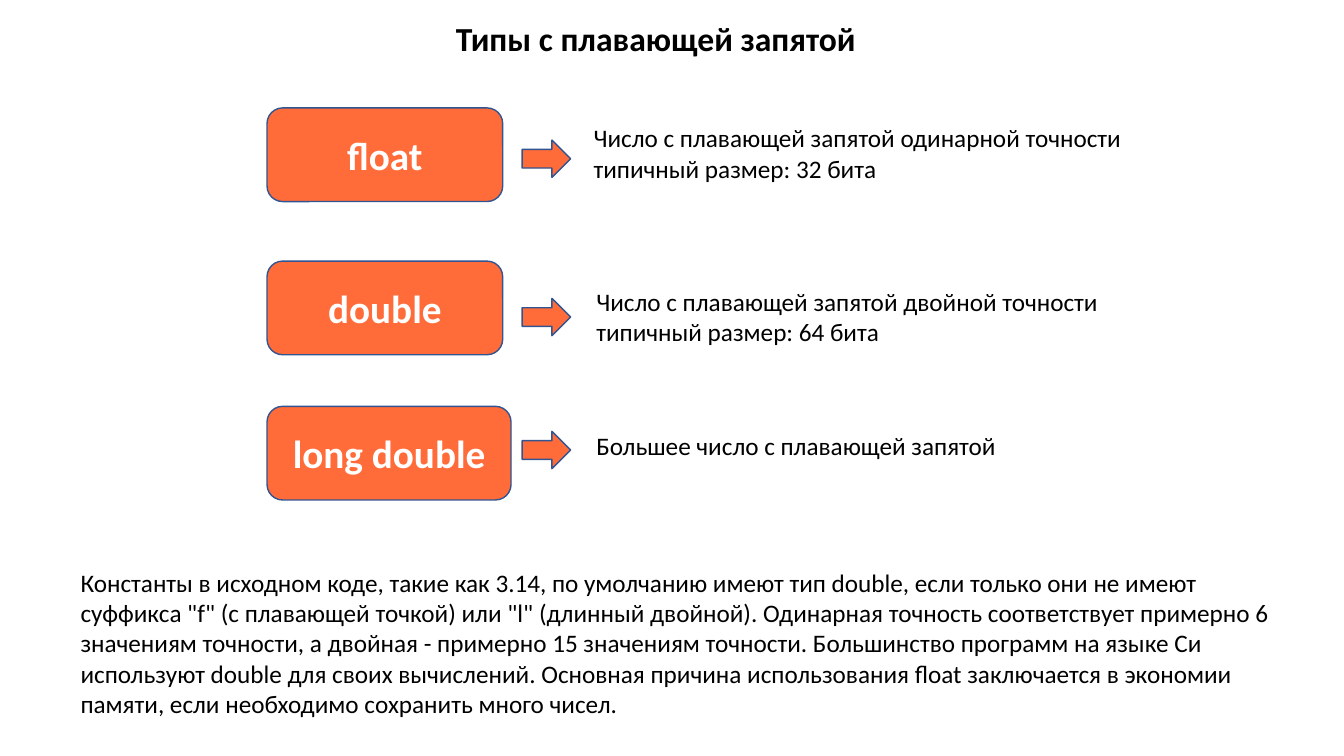
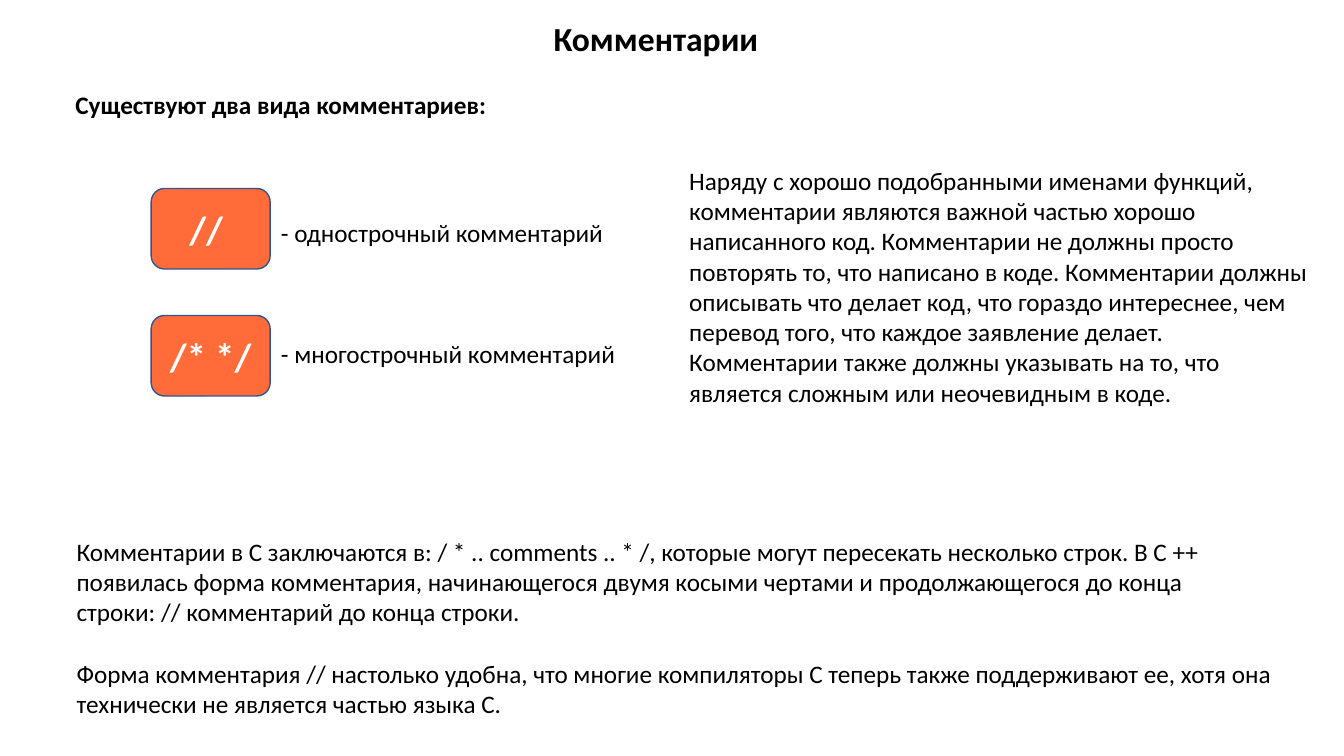
import dataclasses

import pptx
import pptx.dml.color
import pptx.enum.shapes
import pptx.enum.text
import pptx.util

Cm = pptx.util.Cm
Pt = pptx.util.Pt
RGB = pptx.dml.color.RGBColor
SHAPE = pptx.enum.shapes.MSO_SHAPE
ALIGN = pptx.enum.text.PP_ALIGN
ANCHOR = pptx.enum.text.MSO_ANCHOR


@dataclasses.dataclass(frozen=True)
class Theme:
    font: str = "Calibri"
    ink: RGB = RGB(0x00, 0x00, 0x00)
    on_accent: RGB = RGB(0xFF, 0xFF, 0xFF)
    accent: RGB = RGB(0xFF, 0x6C, 0x3A)
    outline: RGB = RGB(0x32, 0x54, 0x91)
    title_size: int = 24
    keyword_size: int = 28
    body_size: int = 18
    outline_width: int = 1
    paragraph_gap: int = 22


class Deck:
    def __init__(self, theme):
        self.theme = theme
        self.presentation = pptx.Presentation()
        self.presentation.slide_width = Cm(33.87)
        self.presentation.slide_height = Cm(19.05)
        self.slide = None

    def new_slide(self, title):
        blank = self.presentation.slide_layouts[6]
        self.slide = self.presentation.slides.add_slide(blank)
        self.text((4.95, 0.33, 23.16, 1.27), [title],
                  size=self.theme.title_size, bold=True, align=ALIGN.CENTER)

    def fill_frame(self, frame, paragraphs, size, color, bold, align, gap=0):
        """Add the paragraphs; gap is the space in points before each later one."""
        frame.word_wrap = True
        for index, content in enumerate(paragraphs):
            paragraph = frame.add_paragraph() if index else frame.paragraphs[0]
            paragraph.alignment = align
            if index and gap:
                paragraph.space_before = Pt(gap)
            run = paragraph.add_run()
            run.text = content
            run.font.name = self.theme.font
            run.font.size = Pt(size)
            run.font.bold = bold
            run.font.color.rgb = color

    def text(self, box, paragraphs, size=None, bold=False, align=ALIGN.LEFT, gap=0):
        frame = self.slide.shapes.add_textbox(*map(Cm, box)).text_frame
        self.fill_frame(frame, paragraphs, size or self.theme.body_size,
                        self.theme.ink, bold, align, gap)

    def accent_shape(self, kind, box):
        shape = self.slide.shapes.add_shape(kind, *map(Cm, box))
        shape.shadow.inherit = False
        shape.fill.solid()
        shape.fill.fore_color.rgb = self.theme.accent
        shape.line.color.rgb = self.theme.outline
        shape.line.width = Pt(self.theme.outline_width)
        return shape

    def keyword(self, box, word):
        frame = self.accent_shape(SHAPE.ROUNDED_RECTANGLE, box).text_frame
        frame.vertical_anchor = ANCHOR.MIDDLE
        self.fill_frame(frame, [word], self.theme.keyword_size,
                        self.theme.on_accent, True, ALIGN.CENTER)

    def arrow(self, box):
        self.accent_shape(SHAPE.RIGHT_ARROW, box)


def floating_types(deck):
    deck.new_slide("Типы с плавающей запятой")
    deck.text((1.78, 14.17, 31.09, 4.88), [
        "Константы в исходном коде, такие как 3.14, по умолчанию имеют тип double, "
        "если только они не имеют суффикса \"f\" (с плавающей точкой) или \"l\" "
        "(длинный двойной). Одинарная точность соответствует примерно 6 значениям "
        "точности, а двойная - примерно 15 значениям точности. Большинство программ "
        "на языке Си используют double для своих вычислений. Основная причина "
        "использования float заключается в экономии памяти, если необходимо "
        "сохранить много чисел."])

    # word, box top, box width, arrow top, description box, description
    types = [
        ("float", 2.72, 5.94, 3.53, (14.71, 2.97, 13.84, 1.8),
         ["Число с плавающей запятой одинарной точности", "типичный размер: 32 бита"]),
        ("double", 6.58, 5.94, 7.52, (14.78, 7.09, 13.28, 1.8),
         ["Число с плавающей запятой двойной точности", "типичный размер: 64 бита"]),
        ("long double", 10.24, 6.15, 10.87, (14.78, 10.72, 10.8, 1.02),
         ["Большее число с плавающей запятой"]),
    ]
    for word, top, width, arrow_top, description_box, description in types:
        deck.keyword((6.73, top, width, 2.36), word)
        deck.text(description_box, description)
        deck.arrow((13.16, arrow_top, 1.22, 0.94))


def comments(deck):
    deck.new_slide("Комментарии")
    deck.text((1.65, 2.13, 15.7, 1.02), ["Существуют два вида комментариев:"], bold=True)

    kinds = [
        ("// ", 4.75, 5.36, "- однострочный комментарий"),
        ("/* */", 7.95, 8.41, "- многострочный комментарий"),
    ]
    for mark, top, meaning_top, meaning in kinds:
        deck.keyword((3.81, top, 3, 2.03), mark)
        deck.text((6.83, meaning_top, 9.35, 1.02), [meaning])

    deck.text((17.12, 4.04, 16.31, 6.4), [
        "Наряду с хорошо подобранными именами функций, комментарии являются важной "
        "частью хорошо написанного код. Комментарии не должны просто повторять то, "
        "что написано в коде. Комментарии должны описывать что делает код, что "
        "гораздо интереснее, чем перевод того, что каждое заявление делает. "
        "Комментарии также должны указывать на то, что является сложным или "
        "неочевидным в коде."])
    deck.text((1.68, 13.39, 31.09, 5.64), [
        "Комментарии в C заключаются в: / * .. comments .. * /, которые могут "
        "пересекать несколько строк. В C ++ появилась форма комментария, "
        "начинающегося двумя косыми чертами и продолжающегося до конца строки: "
        "// комментарий до конца строки.",
        "Форма комментария // настолько удобна, что многие компиляторы C теперь "
        "также поддерживают ее, хотя она технически не является частью языка C."],
        gap=deck.theme.paragraph_gap)


def main():
    deck = Deck(Theme())
    floating_types(deck)
    comments(deck)
    deck.presentation.save("out.pptx")


if __name__ == "__main__":
    main()
